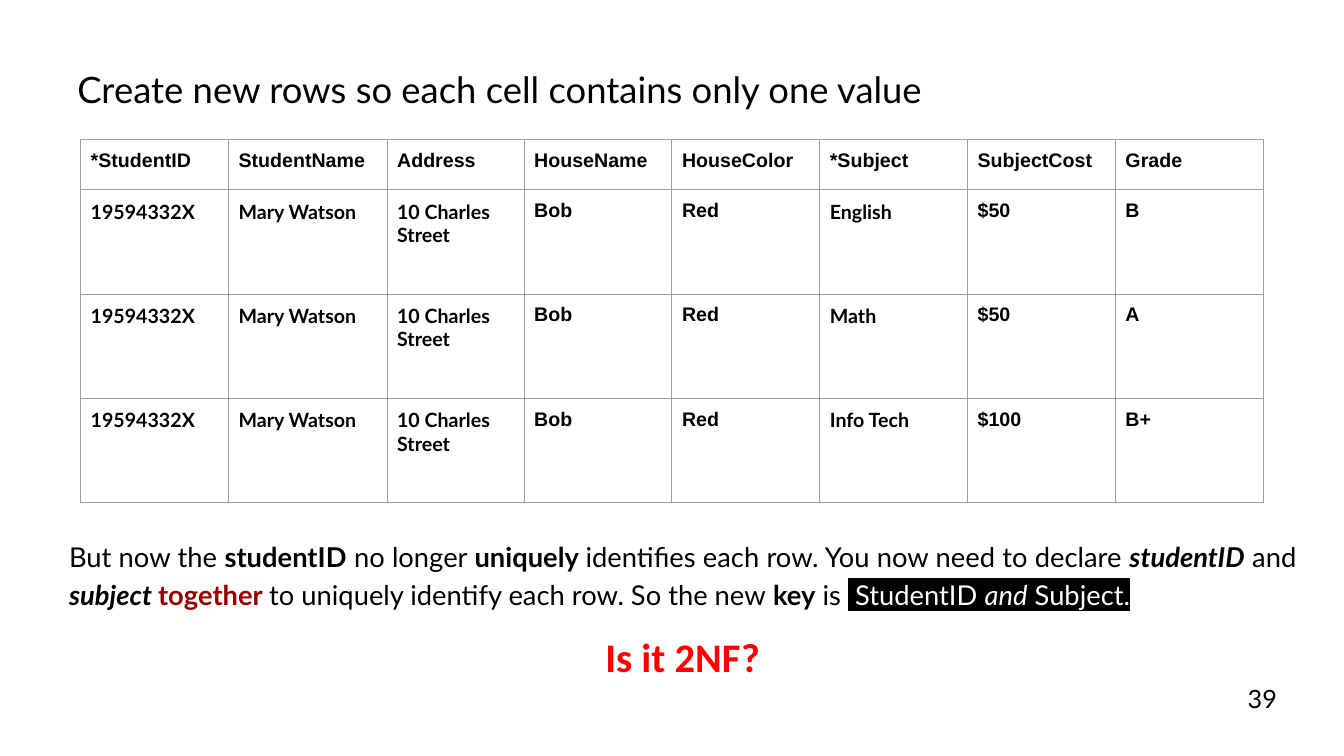
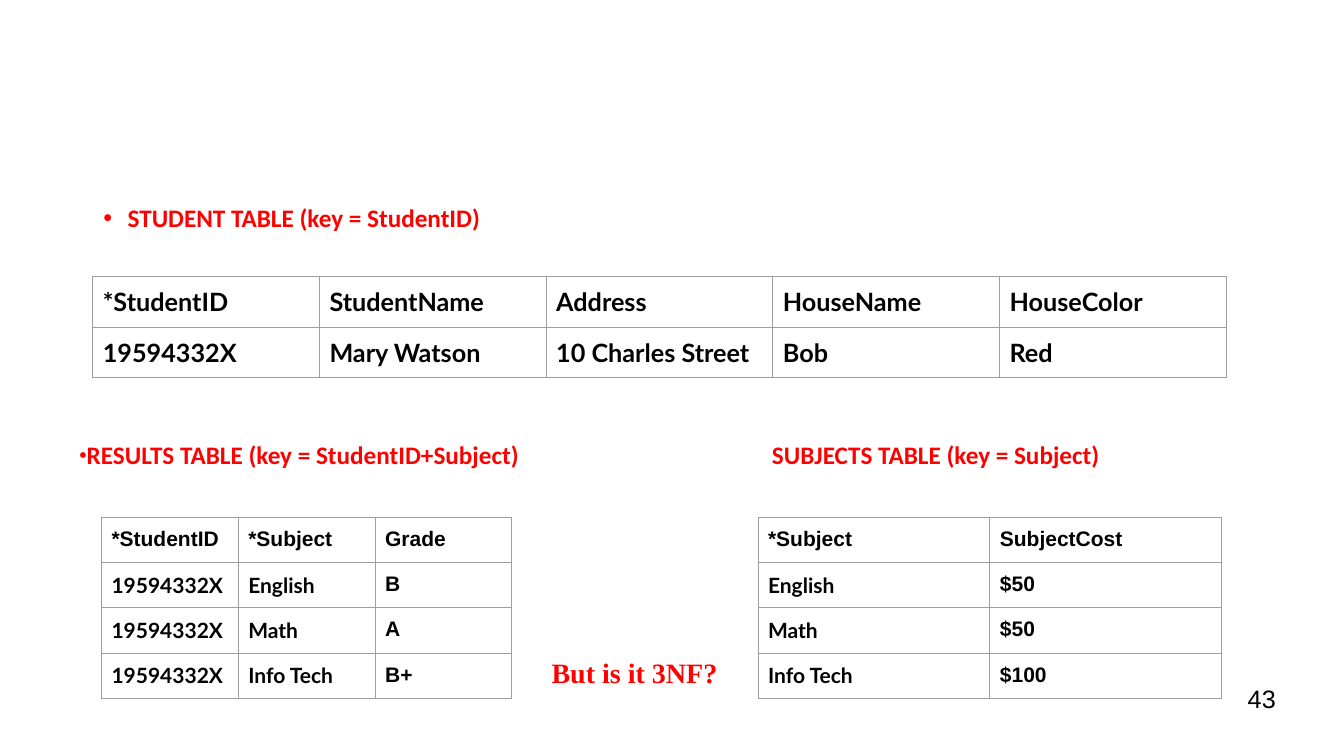
from dataclasses import dataclass
from lxml.etree import SubElement as Sub
from pptx import Presentation
from pptx.dml.color import RGBColor as RGB
from pptx.enum.text import MSO_ANCHOR as Anchor, MSO_AUTO_SIZE as Auto, PP_ALIGN as Align
from pptx.oxml.ns import qn
from pptx.util import Inches, Pt


@dataclass(frozen=True)
class Theme:
    ink: str = "000000"
    red: str = "FF0000"
    dark: str = "980000"
    white: str = "FFFFFF"
    rule: str = "9E9E9E"
    main: str = "Lato"
    sans: str = "Arial"
    label: str = "Calibri"
    serif: str = "Times New Roman"
    title: float = 26
    ask: float = 29
    note: float = 19.5
    page: float = 18
    head: float = 18
    aside: float = 20
    wide: float = 14
    big: float = 18
    small: float = 15


T = Theme()

deck = Presentation()
deck.slide_width, deck.slide_height = Inches(13.33), Inches(7.5)
# One column or row is one percent of the slide
COL, ROW = deck.slide_width / 100, deck.slide_height / 100


def say(para, text, size=T.note, font=T.main, color=T.ink, bold=False, ital=False, mark=None):
    run = para.add_run()
    run.text = text
    face = run.font
    face.size, face.name, face.bold, face.italic = Pt(size), font, bold, ital
    face.color.rgb = RGB.from_string(color)
    if mark:
        light = Sub(run._r.rPr, qn("a:highlight"))
        Sub(light, qn("a:srgbClr"), val=mark)
        run._r.rPr.find(qn("a:solidFill")).addnext(light)


def grid(slide, left, top, cols, rows, data, size, head=T.sans, rest=T.sans):
    table = slide.shapes.add_table(
        len(data), len(cols), int(left * COL), int(top * ROW),
        int(sum(cols) * COL), int(sum(rows) * ROW)).table
    table.first_row = table.horz_banding = False
    for col, wide in zip(table.columns, cols):
        col.width = int(wide * COL)
    for r, (line, high) in enumerate(zip(data, rows)):
        table.rows[r].height = int(high * ROW)
        for c, text in enumerate(line):
            cell = table.cell(r, c)
            cell.margin_left = cell.margin_right = Inches(0.1)
            cell.margin_top = cell.margin_bottom = Inches(0.1)
            font = head if r == 0 else T.main if data[0][c] in KEYS else rest
            say(cell.text_frame.paragraphs[0], text, size, font, bold=True)
            for side in ("lnL", "lnR", "lnT", "lnB"):
                edge = Sub(cell._tc.get_or_add_tcPr(), qn("a:" + side), w=str(Pt(0.75)))
                Sub(Sub(edge, qn("a:solidFill")), qn("a:srgbClr"), val=T.rule)
            cell.fill.background()


# Data: the wide table is split into three on the second slide
KEYS = ("*StudentID", "StudentName", "Address", "*Subject")
PUPIL = ["*StudentID", "StudentName", "Address", "HouseName", "HouseColor"]
MARY = ["19594332X", "Mary Watson", "10 Charles Street", "Bob", "Red"]
COSTS = [["*Subject", "SubjectCost"], ["English", "$50"], ["Math", "$50"], ["Info Tech", "$100"]]
GRADES = ["Grade", "B", "A", "B+"]
WIDE = [(MARY if n else PUPIL) + cost + [GRADES[n]] for n, cost in enumerate(COSTS)]
MARKS = [[line[0], line[5], line[7]] for line in WIDE]

# Slide 1: title
first = deck.slides.add_slide(deck.slide_layouts[5])
title = first.shapes.title
title.left, title.top = int(5 * COL), int(7.8 * ROW)
title.width, title.height = int(86 * COL), int(8 * ROW)
title.text_frame.vertical_anchor = Anchor.MIDDLE
title.text_frame.auto_size = Auto.NONE
para = title.text_frame.paragraphs[0]
para.alignment = Align.LEFT
say(para, "Create new rows so each cell contains only one value", T.title)

# Slide 1: table
grid(first, 6, 18.5, [11, 11.8, 10.2] + [11] * 5, [6.6] + [13.8] * 3, WIDE, T.wide)

# Slide 1: note and question
frame = first.shapes.add_textbox(
    int(4.4 * COL), int(69.5 * ROW), int(92.8 * COL), int(11.5 * ROW)).text_frame
frame.word_wrap = True
frame.margin_top = frame.margin_bottom = Inches(0.1)
note, ask = frame.paragraphs[0], frame.add_paragraph()
for para, side in ((note, Align.JUSTIFY), (ask, Align.CENTER)):
    para.alignment, para.line_spacing, para.space_before = side, 1.15, Pt(10)
for text, form in (
        ("But now the ", {}),
        ("studentID", dict(bold=True)),
        (" no longer ", {}),
        ("uniquely ", dict(bold=True)),
        ("identifies each row. You now need to declare ", {}),
        ("studentID", dict(bold=True, ital=True)),
        (" and ", {}),
        ("subject ", dict(bold=True, ital=True)),
        ("together ", dict(bold=True, color=T.dark)),
        ("to uniquely identify each row. So the new ", {}),
        ("key", dict(bold=True)),
        (" is ", {}),
        (" StudentID ", dict(color=T.white, mark=T.ink)),
        ("and", dict(color=T.white, mark=T.ink, ital=True)),
        (" Subject.", dict(color=T.white, mark=T.ink))):
    say(note, text, **form)
say(ask, "Is it 2NF?", T.ask, T.label, T.red, bold=True)

# Slide 2: table labels in the body, the last two parted by a tab
second = deck.slides.add_slide(deck.slide_layouts[1])
title = second.shapes.title
title.element.getparent().remove(title.element)
body = second.placeholders[1]
body.left, body.top = int(5 * COL), int(26.4 * ROW)
body.width, body.height = int(88 * COL), int(40 * ROW)
frame = body.text_frame
frame.auto_size, frame.vertical_anchor = Auto.NONE, Anchor.TOP
for para, text, left, hang, gap, dot in (
        (frame.paragraphs[0], "STUDENT TABLE (key = StudentID)", 0.5, -0.24, 0, 100),
        (frame.add_paragraph(),
         "RESULTS TABLE (key = StudentID+Subject)\tSUBJECTS TABLE (key = Subject)",
         0, 0.02, 149, 84)):
    para.line_spacing, para.space_before = 0.95, Pt(gap)
    say(para, text, T.head, T.label, T.red, bold=True)
    prop = para._p.get_or_add_pPr()
    prop.set("marL", str(Inches(left)))
    prop.set("indent", str(Inches(hang)))
    Sub(Sub(prop, qn("a:buClr")), qn("a:srgbClr"), val=T.red)
    Sub(prop, qn("a:buSzPct"), val=str(dot * 1000))
    Sub(prop, qn("a:buChar"), char="•")
    Sub(Sub(prop, qn("a:tabLst")), qn("a:tab"), pos=str(Inches(6.89)), algn="l")

# Slide 2: tables
grid(second, 6.9, 36.6, [16.87] * 5, [6.65] * 2, [PUPIL, MARY], T.big, T.main, T.main)
grid(second, 7.55, 68.5, [10.18] * 3, [5.9] * 4, MARKS, T.small)
grid(second, 56.4, 68.5, [17.25] * 2, [5.9] * 4, COSTS, T.small)

# Slide 2 question, and the page numbers
for slide, left, top, wide, text, form in (
        (second, 40.3, 86, 14, "But is it 3NF?",
         dict(size=T.aside, font=T.serif, color=T.red, bold=True)),
        (first, 92.1, 89.7, 7.9, "39", dict(size=T.page)),
        (second, 92.1, 89.7, 7.9, "43", dict(size=T.page, font=T.sans))):
    frame = slide.shapes.add_textbox(
        int(left * COL), int(top * ROW), int(wide * COL), int(5.4 * ROW)).text_frame
    frame.word_wrap = True
    say(frame.paragraphs[0], text, **form)

deck.save("out.pptx")
